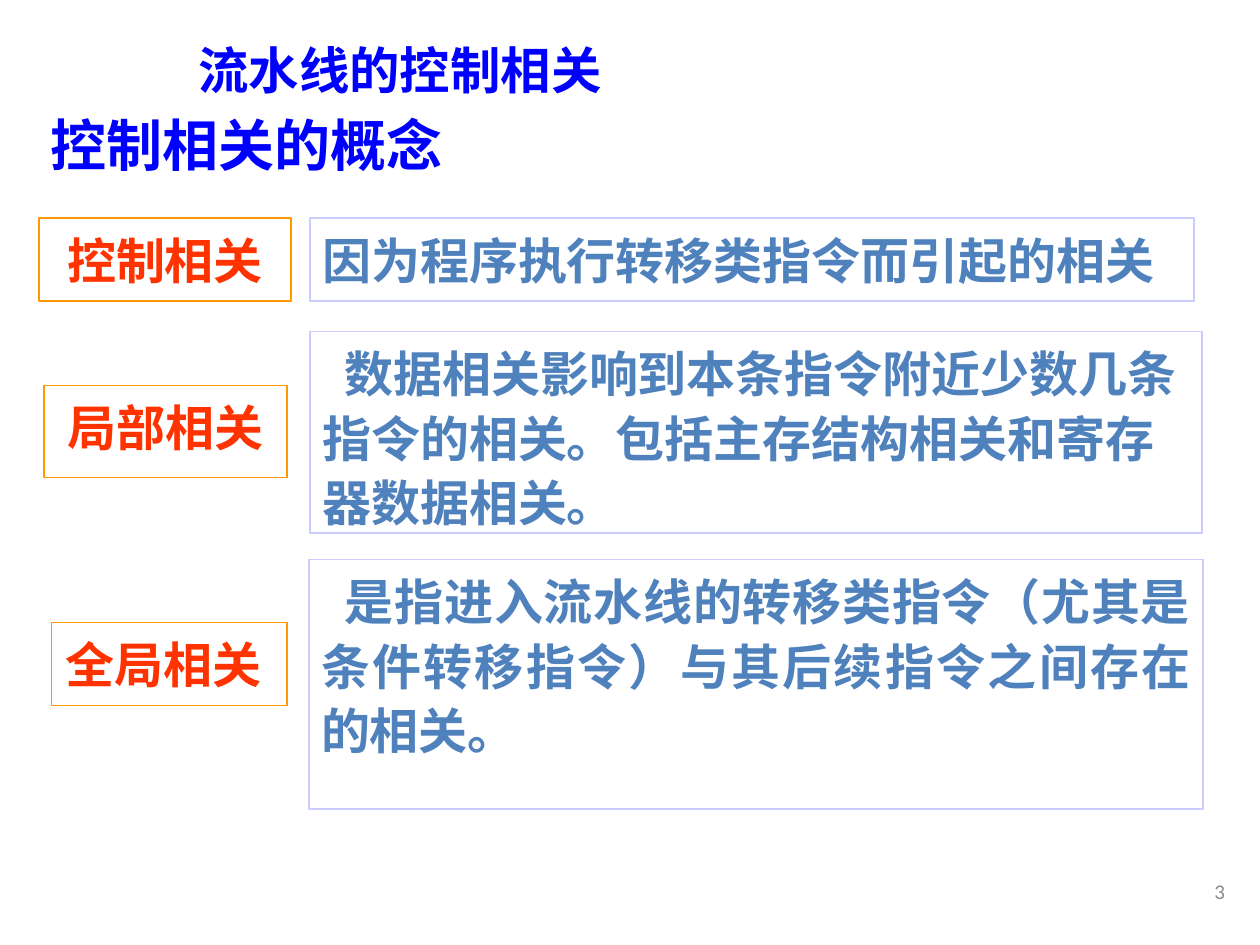
from pptx import Presentation
from pptx.dml.color import RGBColor
from pptx.enum import shapes, text
from pptx.oxml import ns
from pptx.util import Pt
from lxml import etree

BLUE = RGBColor(0x00, 0x00, 0xFF)
STEEL = RGBColor(0x4F, 0x81, 0xBD)
RED = RGBColor(0xFF, 0x33, 0x00)
ORANGE = RGBColor(0xFF, 0x99, 0x00)
LILAC = RGBColor(0xCC, 0xCC, 0xFF)
GRAY = RGBColor(0x8C, 0x8C, 0x8C)
HAN = "Noto Sans CJK SC"
LATIN = "Calibri"
LEFT = text.PP_ALIGN.LEFT
MID = text.PP_ALIGN.CENTER
RIGHT = text.PP_ALIGN.RIGHT
FULL = text.PP_ALIGN.JUSTIFY
TOP = text.MSO_ANCHOR.TOP
CENTER = text.MSO_ANCHOR.MIDDLE


def place(shape, left, top, width, height):
    shape.left, shape.top = Pt(left), Pt(top)
    shape.width, shape.height = Pt(width), Pt(height)


def write(shape, words, size, color, align, anchor, face=LATIN, bold=True):
    frame = shape.text_frame
    frame.word_wrap = True
    frame.auto_size = text.MSO_AUTO_SIZE.NONE
    frame.vertical_anchor = anchor
    para = frame.paragraphs[0]
    para.alignment = align
    para.space_before = Pt(0)
    run = para.add_run()
    run.text = words
    font = run.font
    font.size, font.bold, font.name = Pt(size), bold, face
    font.color.rgb = color
    east = etree.SubElement(run._r.get_or_add_rPr(), ns.qn("a:ea"))
    east.set("typeface", HAN)
    return para


deck = Presentation()
deck.slide_width, deck.slide_height = Pt(720), Pt(540)
slide = deck.slides.add_slide(deck.slide_layouts[0])

title = slide.shapes.title
place(title, 25.2, 20.9, 413.3, 37.4)
write(title, "流水线的控制相关 ", 28.8, BLUE, MID, CENTER, HAN)

topic = slide.placeholders[1]
place(topic, 21.6, 59.8, 326.9, 48.2)
write(topic, "控制相关的概念", 32, BLUE, LEFT, TOP, HAN)

number = slide.shapes.add_textbox(Pt(557.3), Pt(491), Pt(149.8), Pt(36))
write(number, "3", 12, GRAY, RIGHT, CENTER, bold=False)

boxes = [
    ("控制相关", 22.3, 124.6, 144, 47.5, ORANGE, RED, MID, 0),
    ("因为程序执行转移类指令而引起的相关",
     177.1, 124.6, 505.4, 47.5, LILAC, STEEL, LEFT, 0),
    ("局部相关", 25.2, 220.3, 139, 52.6, ORANGE, RED, MID, 0),
    ("数据相关影响到本条指令附近少数几条指令的相关。包括主存结构相关和寄存器数据相关。",
     177.1, 189.4, 509.8, 115.2, LILAC, STEEL, LEFT, 12.6),
    ("全局相关 ", 29.5, 355.7, 134.6, 47.5, ORANGE, RED, MID, 0),
    ("是指进入流水线的转移类指令（尤其是条件转移指令）与其后续指令之间存在的相关。",
     176.4, 319.7, 511.2, 142.6, LILAC, STEEL, FULL, 13.5),
]
for words, left, top, width, height, edge, color, align, indent in boxes:
    box = slide.shapes.add_shape(
        shapes.MSO_SHAPE.RECTANGLE, Pt(left), Pt(top), Pt(width), Pt(height))
    box.shadow.inherit = False
    box.fill.background()
    box.line.color.rgb = edge
    box.line.width = Pt(1)
    para = write(box, words, 28, color, align, TOP)
    para.line_spacing = 1.1
    if indent:
        para._p.get_or_add_pPr().set("indent", str(Pt(indent)))

deck.save("out.pptx")
